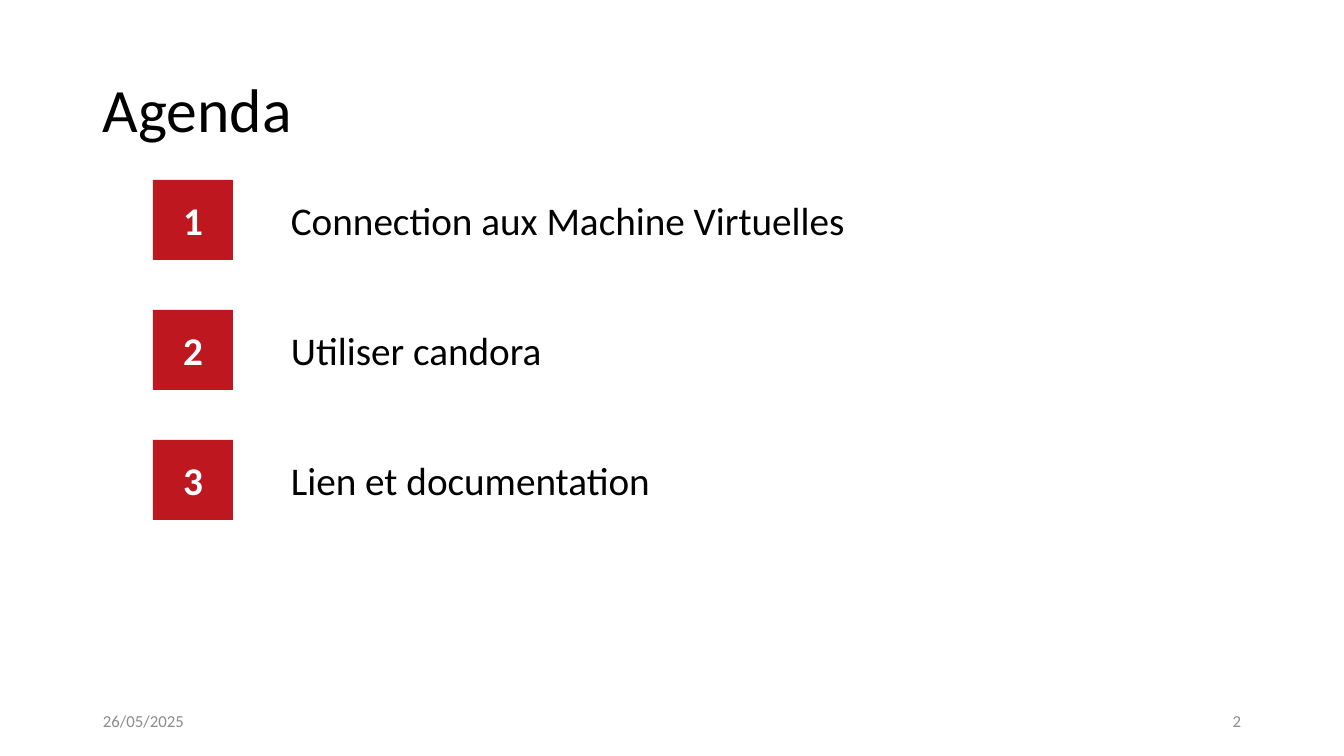
from pptx import Presentation
from pptx.dml.color import RGBColor
from pptx.enum.shapes import MSO_SHAPE
from pptx.enum.text import MSO_ANCHOR, PP_ALIGN
from pptx.util import Pt

TITLE = "Agenda"
TOPICS = [
    "Connection aux Machine Virtuelles",
    "Utiliser candora",
    "Lien et documentation",
]
DATE = "26/05/2025"
PAGE = "2"

FONT = "Calibri"
RED = RGBColor(0xBE, 0x17, 0x1F)
BLACK = RGBColor(0x00, 0x00, 0x00)
WHITE = RGBColor(0xFF, 0xFF, 0xFF)
GRAY = RGBColor(0x8C, 0x8C, 0x8C)

SLIDE_W, SLIDE_H = 1344, 756
MARGIN = 93
BADGE_X, BADGE_SIZE = 153, 80
LABEL_X, LABEL_W, LABEL_H = 281, 578, 58
FIRST_Y, PITCH = 180, 130
FOOTER_Y, FOOTER_W, FOOTER_H = 701, 302, 40


def px(n):
    return round(n * 12192000 / SLIDE_W)


def write(sp, text, size, color, align=PP_ALIGN.LEFT, bold=False):
    tf = sp.text_frame
    tf.word_wrap = True
    tf.vertical_anchor = MSO_ANCHOR.MIDDLE
    tf.text = text
    p = tf.paragraphs[0]
    p.alignment = align
    font = p.runs[0].font
    font.name = FONT
    font.size = Pt(size)
    font.bold = bold
    font.color.rgb = color
    return p


def add_text(s, x, y, w, h, text, size, color, align=PP_ALIGN.LEFT):
    sp = s.shapes.add_textbox(px(x), px(y), px(w), px(h))
    return write(sp, text, size, color, align)


def add_badge(s, y, number):
    sp = s.shapes.add_shape(
        MSO_SHAPE.RECTANGLE, px(BADGE_X), px(y), px(BADGE_SIZE), px(BADGE_SIZE))
    sp.shadow.inherit = False
    sp.fill.solid()
    sp.fill.fore_color.rgb = RED
    sp.line.fill.background()
    write(sp, str(number), 28, WHITE, PP_ALIGN.CENTER, True)


def main():
    prs = Presentation()
    prs.slide_width, prs.slide_height = px(SLIDE_W), px(SLIDE_H)
    s = prs.slides.add_slide(prs.slide_layouts[6])

    title = add_text(s, MARGIN, 40, SLIDE_W - 2 * MARGIN, 146, TITLE, 44, BLACK)
    title.line_spacing = 0.9

    for i, topic in enumerate(TOPICS):
        y = FIRST_Y + i * PITCH
        add_badge(s, y, i + 1)
        label_y = y + (BADGE_SIZE - LABEL_H) // 2
        add_text(s, LABEL_X, label_y, LABEL_W, LABEL_H, topic, 28, BLACK)

    page_x = SLIDE_W - MARGIN - FOOTER_W
    add_text(s, MARGIN, FOOTER_Y, FOOTER_W, FOOTER_H, DATE, 12, GRAY)
    add_text(s, page_x, FOOTER_Y, FOOTER_W, FOOTER_H, PAGE, 12, GRAY, PP_ALIGN.RIGHT)

    prs.save("out.pptx")


if __name__ == "__main__":
    main()
